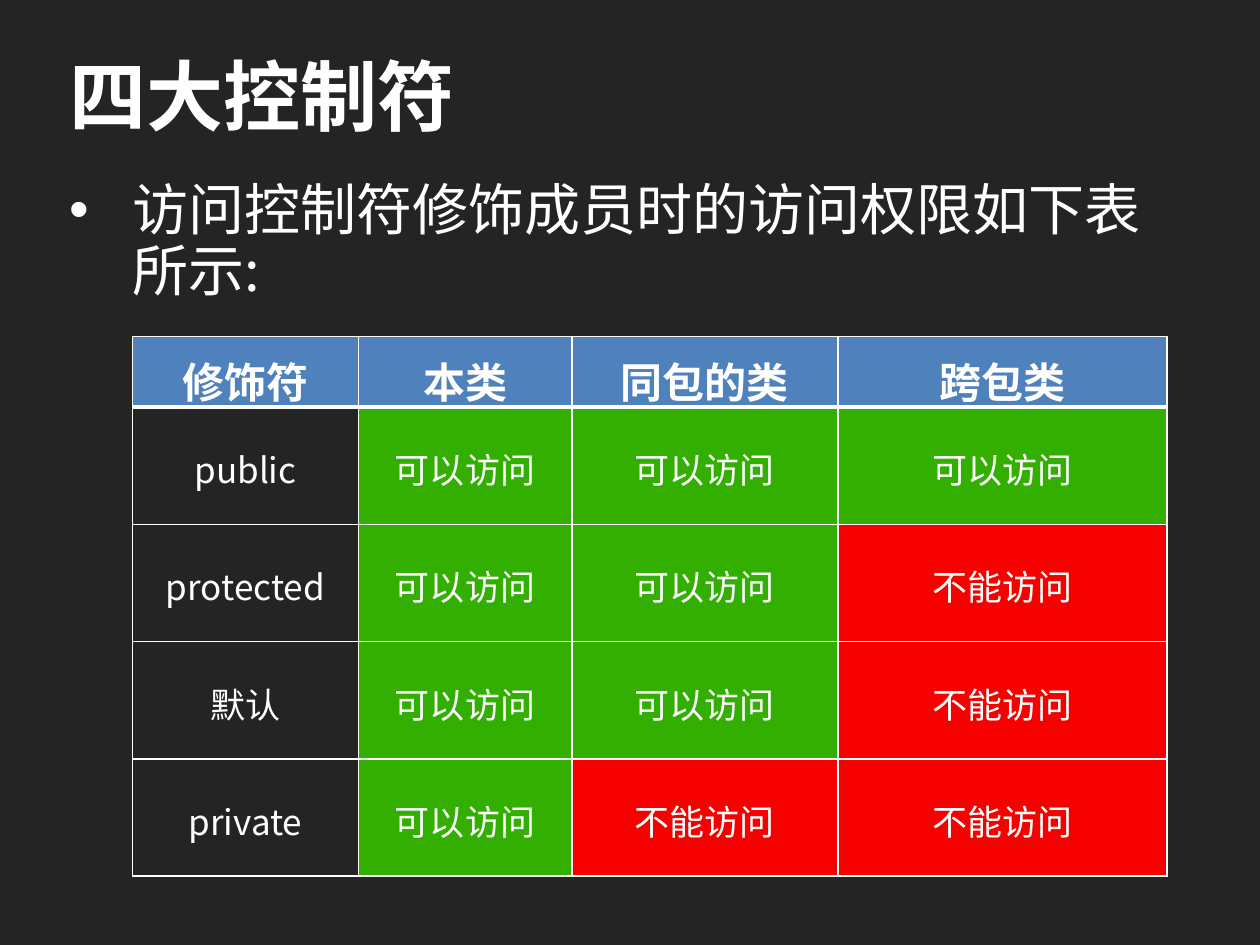
from pptx import Presentation
from pptx.dml.color import RGBColor
from pptx.enum.text import MSO_ANCHOR, PP_ALIGN
from pptx.oxml.ns import qn
from pptx.util import Pt
from lxml import etree

MIDDLE = MSO_ANCHOR.MIDDLE
LEFT, CENTER = PP_ALIGN.LEFT, PP_ALIGN.CENTER
TITLE_ONLY = 5

COLORS = {
    "background": "242424",
    "text": "FFFFFF",
    "header": "4F81BD",
    "allowed": "32AF01",
    "denied": "F60000",
}
ACCESS_TEXT = {"allowed": "可以访问", "denied": "不能访问"}

HEADERS = ["修饰符", "本类", "同包的类", "跨包类"]
# Modifier and how many of the three scopes, from the left, may access it
MODIFIERS = [("public", 3), ("protected", 2), ("默认", 2), ("private", 1)]
COLUMN_WIDTHS = [129, 122, 152, 188]
HEADER_HEIGHT, ROW_HEIGHT = 40.5, 67


class SlideBuilder:
    font_name = "Noto Sans CJK SC"

    def __init__(self, presentation):
        self.slide = presentation.slides.add_slide(
            presentation.slide_layouts[TITLE_ONLY])
        fill = self.slide.background.fill
        fill.solid()
        fill.fore_color.rgb = self.color("background")

    def color(self, name):
        return RGBColor.from_string(COLORS[name])

    def add_run(self, paragraph, text, size, bold=False):
        run = paragraph.add_run()
        run.text = text
        font = run.font
        font.name = self.font_name
        font.size = Pt(size)
        font.bold = bold
        font.color.rgb = self.color("text")
        east_asian = etree.SubElement(font._element, qn("a:ea"))
        east_asian.set("typeface", self.font_name)

    def title(self, text, left, top, width, height):
        shape = self.slide.shapes.title
        shape.left, shape.top = Pt(left), Pt(top)
        shape.width, shape.height = Pt(width), Pt(height)
        shape.text_frame.vertical_anchor = MIDDLE
        paragraph = shape.text_frame.paragraphs[0]
        paragraph.alignment = LEFT
        self.add_run(paragraph, text, 44, bold=True)

    def bullet(self, text, left, top, width, height):
        shape = self.slide.shapes.add_textbox(
            Pt(left), Pt(top), Pt(width), Pt(height))
        shape.text_frame.word_wrap = True
        paragraph = shape.text_frame.paragraphs[0]
        paragraph.line_spacing = 0.9
        properties = paragraph._p.get_or_add_pPr()
        properties.set("marL", str(Pt(36)))
        properties.set("indent", str(Pt(-36)))
        etree.SubElement(properties, qn("a:buFont")).set("typeface", "Arial")
        etree.SubElement(properties, qn("a:buChar")).set("char", "•")
        self.add_run(paragraph, text, 32)

    def table(self, left, top, widths, heights):
        table = self.slide.shapes.add_table(
            len(heights), len(widths), Pt(left), Pt(top),
            Pt(sum(widths)), Pt(sum(heights))).table
        table.horz_banding = False
        for column, width in zip(table.columns, widths):
            column.width = Pt(width)
        for row, height in zip(table.rows, heights):
            row.height = Pt(height)
        return table

    def cell(self, cell, text, size, fill=None, bold=False, top=1, bottom=1):
        cell.vertical_anchor = MIDDLE
        cell.margin_left = cell.margin_right = Pt(8)
        cell.margin_top = cell.margin_bottom = Pt(4.3)
        paragraph = cell.text_frame.paragraphs[0]
        paragraph.alignment = CENTER
        paragraph.line_spacing = 1.1
        self.add_run(paragraph, text, size, bold)
        # Borders come before the fill in the cell properties
        properties = cell._tc.get_or_add_tcPr()
        for side, width in (("L", 1), ("R", 1), ("T", top), ("B", bottom)):
            line = etree.SubElement(
                properties, qn(f"a:ln{side}"), w=str(Pt(width)))
            solid = etree.SubElement(line, qn("a:solidFill"))
            etree.SubElement(solid, qn("a:srgbClr"), val=COLORS["text"])
        if fill:
            cell.fill.solid()
            cell.fill.fore_color.rgb = self.color(fill)
        else:
            cell.fill.background()


def main():
    presentation = Presentation()
    presentation.slide_width, presentation.slide_height = Pt(720), Pt(540)
    builder = SlideBuilder(presentation)

    # Heading and introduction
    builder.title("四大控制符", 32.4, 16.6, 654.5, 75)
    builder.bullet("访问控制符修饰成员时的访问权限如下表所示:",
                   32.4, 100.8, 656, 80)

    # Access table: header row, then one row per modifier
    table = builder.table(75.8, 192.2, COLUMN_WIDTHS,
                          [HEADER_HEIGHT] + [ROW_HEIGHT] * len(MODIFIERS))
    for column, header in enumerate(HEADERS):
        builder.cell(table.cell(0, column), header, 24, "header",
                     bold=True, bottom=3)
    for row, (modifier, allowed_count) in enumerate(MODIFIERS, start=1):
        top = 3 if row == 1 else 1
        builder.cell(table.cell(row, 0), modifier, 20, top=top)
        for column in range(1, len(HEADERS)):
            access = "allowed" if column <= allowed_count else "denied"
            builder.cell(table.cell(row, column), ACCESS_TEXT[access], 20,
                         access, top=top)

    presentation.save("out.pptx")


if __name__ == "__main__":
    main()
